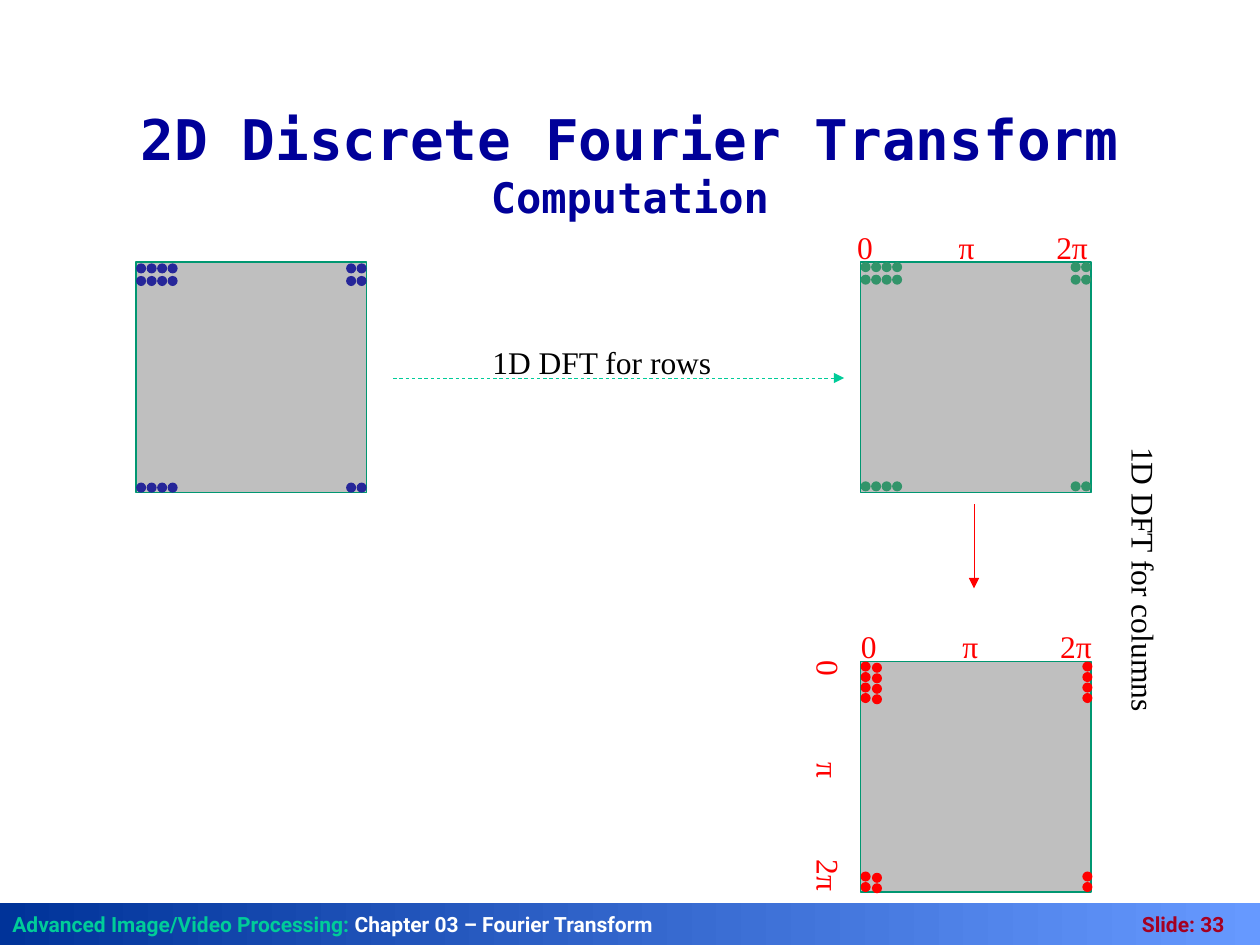
from dataclasses import dataclass

from lxml import etree
from pptx import Presentation
from pptx import util as u
from pptx.dml.color import RGBColor
from pptx.enum import dml, shapes, text
from pptx.oxml.ns import qn


@dataclass(frozen=True)
class Theme:
    navy: str = "000099"
    red: str = "FF0000"
    black: str = "000000"
    white: str = "FFFFFF"
    mint: str = "00CC99"
    crimson: str = "A50021"
    panel: str = "BFBFBF"
    border: str = "009771"
    image_dot: str = "262699"
    row_dot: str = "32946A"
    bar_start: str = "003399"
    bar_end: str = "6699FF"
    title_font: str = "DejaVu Sans Mono"
    footer_font: str = "Roboto"
    label_font: str = "Times New Roman"
    title_size: int = 32
    subtitle_size: int = 24
    label_size: int = 18
    footer_size: int = 12


PANEL = 1.83
DOT = 0.08
PITCH = 1 / 12
DOT_STEPS = (0, 1, 2, 3, 20, 21)
LABEL_HEIGHT = 0.4
AXIS_LABELS = (("0", 0, 0.33), ("π", 0.81, 0.34), ("2π", 1.65, 0.47))


def rgb(value):
    return RGBColor.from_string(value)


def write(paragraph, words, *, font, size, color, bold=False):
    run = paragraph.add_run()
    run.text = words
    run.font.name = font
    run.font.size = u.Pt(size)
    run.font.bold = bold
    run.font.color.rgb = rgb(color)


class Deck:
    def __init__(self, theme):
        self.theme = theme
        self.presentation = Presentation()
        self.presentation.slide_width = u.Inches(10)
        self.presentation.slide_height = u.Inches(7.5)
        layout = self.presentation.slide_layouts[5]
        self.slide = self.presentation.slides.add_slide(layout)

    def title(self, heading, subheading):
        theme = self.theme
        title = self.slide.shapes.title
        title.left, title.top = u.Inches(0.75), u.Inches(0.67)
        title.width, title.height = u.Inches(8.5), u.Inches(1.25)
        frame = title.text_frame
        frame.auto_size = text.MSO_AUTO_SIZE.NONE
        frame.vertical_anchor = text.MSO_ANCHOR.MIDDLE
        paragraph = frame.paragraphs[0]
        paragraph.alignment = text.PP_ALIGN.CENTER
        style = dict(font=theme.title_font, color=theme.navy, bold=True)
        write(paragraph, heading, size=theme.title_size, **style)
        paragraph.add_line_break()
        line_break = paragraph._p.find(qn("a:br"))
        etree.SubElement(line_break, qn("a:rPr"), sz=str(theme.title_size * 100))
        write(paragraph, subheading, size=theme.subtitle_size, **style)

    def shape(self, kind, left, top, width, height, fill=None, parent=None):
        holder = (parent or self.slide).shapes
        item = holder.add_shape(kind, *map(u.Inches, (left, top, width, height)))
        item.shadow.inherit = False
        item.line.fill.background()
        if fill:
            item.fill.solid()
            item.fill.fore_color.rgb = rgb(fill)
        return item

    def footer(self, course, chapter, number):
        theme = self.theme
        bar = self.shape(shapes.MSO_SHAPE.RECTANGLE, 0, 7.17, 10, 0.33)
        bar.fill.gradient()
        bar.fill.gradient_angle = 0
        for stop, color in zip(bar.fill.gradient_stops, (theme.bar_start, theme.bar_end)):
            stop.color.rgb = rgb(color)
        bar.text_frame.vertical_anchor = text.MSO_ANCHOR.MIDDLE
        paragraph = bar.text_frame.paragraphs[0]
        paragraph.alignment = text.PP_ALIGN.LEFT
        tabs = etree.SubElement(paragraph._p.get_or_add_pPr(), qn("a:tabLst"))
        etree.SubElement(tabs, qn("a:tab"), pos=str(u.Inches(9.62)), algn="r")
        parts = ((course, theme.mint), (chapter + "\t", theme.white), (number, theme.crimson))
        for words, color in parts:
            write(paragraph, words, font=theme.footer_font, size=theme.footer_size,
                  color=color, bold=True)

    def panel(self, left, top):
        square = self.shape(shapes.MSO_SHAPE.RECTANGLE, left, top, PANEL, PANEL,
                            self.theme.panel)
        square.line.color.rgb = rgb(self.theme.border)
        square.line.width = u.Pt(1)

    def dots(self, left, top, color, vertical=False):
        group = self.slide.shapes.add_group_shape()
        for step in DOT_STEPS:
            shift = step * PITCH
            x, y = (left, top + shift) if vertical else (left + shift, top)
            self.shape(shapes.MSO_SHAPE.OVAL, x, y, DOT, DOT, color, group)

    def arrow(self, start, end, color, dash=None):
        points = map(u.Inches, (*start, *end))
        arrow = self.slide.shapes.add_connector(shapes.MSO_CONNECTOR.STRAIGHT, *points)
        arrow.line.color.rgb = rgb(color)
        arrow.line.width = u.Pt(0.5)
        if dash:
            arrow.line.dash_style = dash
        etree.SubElement(arrow.line._get_or_add_ln(), qn("a:tailEnd"), type="triangle")
        etree.SubElement(arrow._element.spPr, qn("a:effectLst"))

    def label(self, words, center_x, center_y, width, color, rotation=0, parent=None):
        box = (parent or self.slide).shapes.add_textbox(
            u.Inches(center_x - width / 2), u.Inches(center_y - LABEL_HEIGHT / 2),
            u.Inches(width), u.Inches(LABEL_HEIGHT))
        box.rotation = rotation
        box.text_frame.word_wrap = False
        box.text_frame.auto_size = text.MSO_AUTO_SIZE.SHAPE_TO_FIT_TEXT
        write(box.text_frame.paragraphs[0], words, font=self.theme.label_font,
              size=self.theme.label_size, color=color)

    def axis(self, start_x, start_y, vertical=False):
        group = self.slide.shapes.add_group_shape()
        for words, shift, width in AXIS_LABELS:
            x, y = (start_x, start_y + shift) if vertical else (start_x + shift, start_y)
            self.label(words, x, y, width, self.theme.red, 90 if vertical else 0, group)


def main():
    theme = Theme()
    deck = Deck(theme)
    deck.title("2D Discrete Fourier Transform", "Computation")
    deck.footer("Advanced Image/Video Processing: ",
                "Chapter 03 – Fourier Transform", "Slide: 33")

    image_left, spectrum_left = 1.08, 6.83
    upper_top, lower_top = 2.08, 5.25
    deck.panel(image_left, upper_top)
    deck.panel(spectrum_left, upper_top)
    deck.panel(spectrum_left, lower_top)

    for row_shift in (0, 0.1, 1.74):
        deck.dots(image_left, upper_top + 0.01 + row_shift, theme.image_dot)
        deck.dots(spectrum_left, upper_top + row_shift, theme.row_dot)
    for column_shift, drop in ((0, 0), (0.09, 0.01), (1.76, 0)):
        deck.dots(spectrum_left + column_shift, lower_top + drop, theme.red, vertical=True)

    deck.arrow((3.12, 3), (6.7, 3), theme.mint, dml.MSO_LINE.DASH)
    deck.arrow((7.73, 4), (7.73, 4.67), theme.red)
    deck.label("1D DFT for rows", 4.79, 2.87, 1.96, theme.black)
    deck.label("1D DFT for columns", 9.08, 4.61, 2.32, theme.black, rotation=90)

    deck.axis(6.87, 1.96)
    deck.axis(6.9, 5.13)
    deck.axis(6.58, 5.31, vertical=True)

    deck.presentation.save("out.pptx")


if __name__ == "__main__":
    main()
